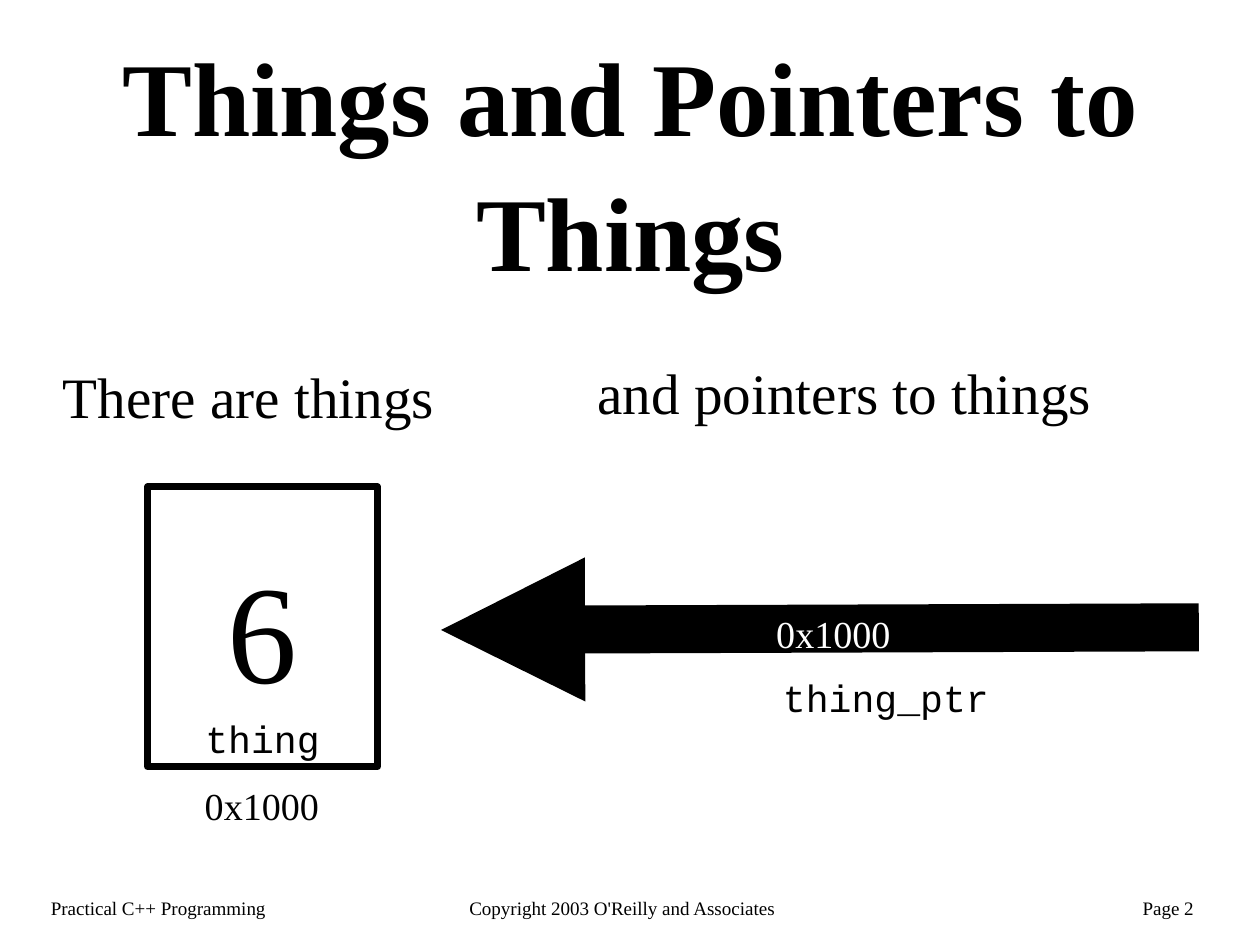
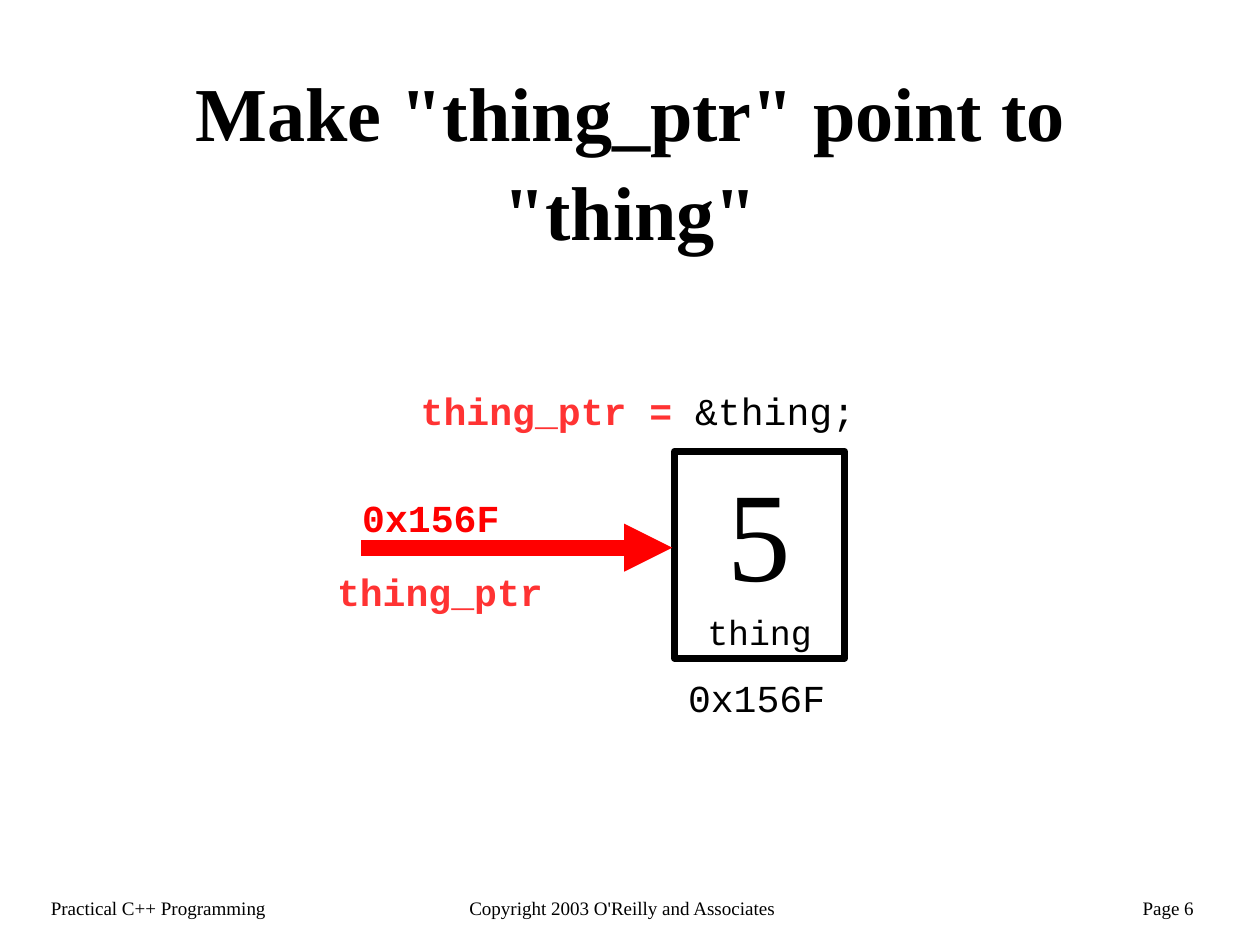
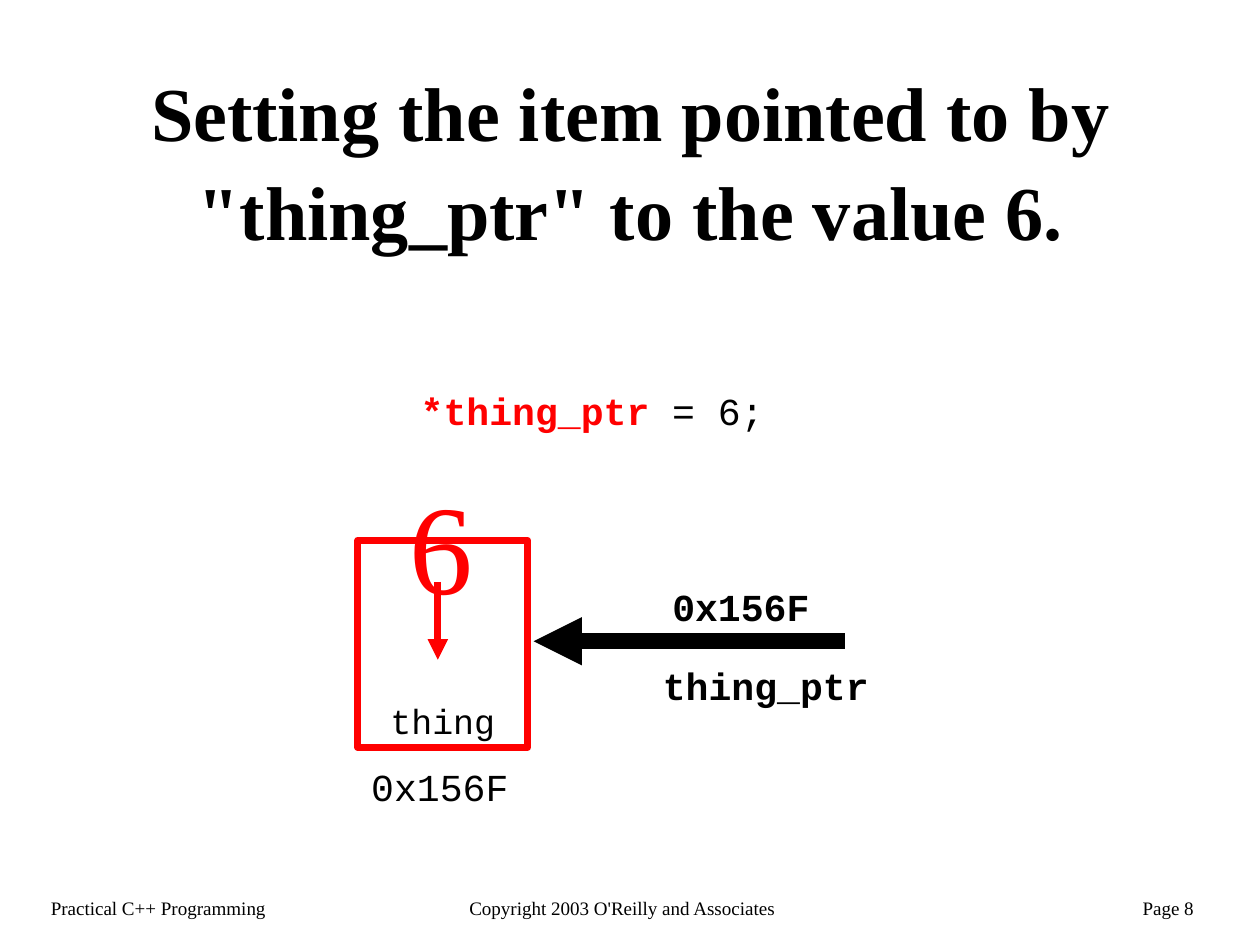
from lxml.etree import SubElement
from pptx import Presentation
from pptx.dml.color import RGBColor
from pptx.enum.shapes import MSO_CONNECTOR, MSO_SHAPE
from pptx.enum.text import MSO_ANCHOR, PP_ALIGN
from pptx.oxml.ns import qn
from pptx.util import Cm, Pt

SERIF, MONO = "Times New Roman", "Courier New"
BLACK, WHITE, RED, SOFT_RED = "000000", "FFFFFF", "FF0000", "FF3333"
LINE_SPACING = 1.08
OUTLINE = 4.31
BOX_SIZE = (3.78, 4.6)


def rgb(color):
    return RGBColor.from_string(color)


# Text
def add_run(paragraph, text, size, font=SERIF, color=BLACK, bold=False):
    paragraph.line_spacing = LINE_SPACING
    run = paragraph.add_run()
    run.text = text
    run.font.size, run.font.name, run.font.bold = Pt(size), font, bold
    run.font.color.rgb = rgb(color)


def clear_margins(frame):
    frame.word_wrap = True
    frame.margin_left = frame.margin_right = 0
    frame.margin_top = frame.margin_bottom = 0


def add_text(slide, left, top, runs, width=9, height=1):
    """Place one paragraph; each run is (text, size, font, color, bold)."""
    frame = slide.shapes.add_textbox(
        Cm(left), Cm(top), Cm(width), Cm(height)).text_frame
    clear_margins(frame)
    paragraph = frame.paragraphs[0]
    for run in runs:
        add_run(paragraph, *run)
    return frame


# Parts shared by all slides
def add_footer(slide, page):
    left, width = 1.13, 25.6
    frame = add_text(slide, left, 19.89, [], width, 0.6)
    paragraph = frame.paragraphs[0]
    tabs = SubElement(paragraph._p.get_or_add_pPr(), qn("a:tabLst"))
    for position, align in ((12.7, "ctr"), (25.4, "r")):
        SubElement(tabs, qn("a:tab"), pos=str(Cm(position)), algn=align)
    add_run(paragraph, "Practical C++ Programming\t"
            "Copyright 2003 O'Reilly and Associates\t"
            f"Page {page}", 12)


def new_slide(prs, title, page, title_size=48):
    slide = prs.slides.add_slide(prs.slide_layouts[6])
    add_footer(slide, page)
    frame = add_text(slide, 2.06, 0.81,
                     [(title, title_size, SERIF, BLACK, True)], 23.9, 5.36)
    frame.vertical_anchor = MSO_ANCHOR.MIDDLE
    frame.paragraphs[0].alignment = PP_ALIGN.CENTER
    return slide


# Memory diagram
def add_variable(slide, left, top, size, lines, address, address_dx,
                 address_font=MONO, color=BLACK):
    """Box holding a value above its name, with its address below."""
    width, height = size
    box = slide.shapes.add_shape(
        MSO_SHAPE.RECTANGLE, Cm(left), Cm(top), Cm(width), Cm(height))
    box.shadow.inherit = False
    box.fill.solid()
    box.fill.fore_color.rgb = rgb(WHITE)
    box.line.color.rgb = rgb(color)
    box.line.width = Pt(OUTLINE)
    SubElement(box.line._get_or_add_ln(), qn("a:round"))

    frame = box.text_frame
    clear_margins(frame)
    frame.margin_bottom = Cm(0.13)
    frame.vertical_anchor = MSO_ANCHOR.BOTTOM
    for index, line in enumerate(lines):
        paragraph = frame.add_paragraph() if index else frame.paragraphs[0]
        paragraph.alignment = PP_ALIGN.CENTER
        add_run(paragraph, *line)

    add_text(slide, left + address_dx, top + height + 0.27,
             [(address, 24, address_font)])


def add_arrow(slide, start, end, weight, color=BLACK):
    arrow = slide.shapes.add_connector(
        MSO_CONNECTOR.STRAIGHT, *(Cm(length) for length in (*start, *end)))
    arrow.line.color.rgb = rgb(color)
    arrow.line.width = Pt(weight)
    SubElement(arrow.line._get_or_add_ln(), qn("a:tailEnd"), type="triangle")
    SubElement(arrow._element.spPr, qn("a:effectLst"))


def add_pointer(slide, start, end, weight, color, labels):
    """Arrow with labels, each (dx, dy, run) from its left end."""
    add_arrow(slide, start, end, weight, color)
    left, y = min(start[0], end[0]), end[1]
    for dx, dy, run in labels:
        add_text(slide, left + dx, y + dy, [run])


# Slides
def things_slide(prs):
    slide = new_slide(prs, "Things and Pointers to Things", 2, 66)
    add_variable(slide, 3.28, 10.82, (5.11, 6.22),
                 [("6", 88), ("thing", 24, MONO)], "0x1000", 1.27, SERIF)
    add_text(slide, 1.4, 7.92, [("There are things", 36)], 11)
    add_text(slide, 13.28, 7.82, [("and pointers to things", 36)], 13.5)
    add_pointer(slide, (26.64, 13.94), (9.8, 14), 30.25, BLACK, [
        (7.6, 0.91, ("thing_ptr", 24, MONO)),
        (7.45, -0.51, ("0x1000", 24, SERIF, WHITE))])


def point_slide(prs):
    slide = new_slide(prs, 'Make "thing_ptr" point to "thing"', 6)
    add_variable(slide, 14.99, 10.03, BOX_SIZE,
                 [("5", 80), ("thing", 22, MONO)], "0x156F", 0.3)
    add_text(slide, 9.35, 8.53, [("thing_ptr = ", 24, MONO, SOFT_RED, True),
                                 ("&thing;", 24, MONO)], 12)
    add_pointer(slide, (8.03, 12.17), (14.94, 12.17), 10.09, RED, [
        (0.02, -1.27, ("0x156F", 24, MONO, RED, True)),
        (-0.54, 0.38, ("thing_ptr", 24, MONO, SOFT_RED, True))])


def assign_slide(prs):
    slide = new_slide(
        prs, 'Setting the item pointed to by "thing_ptr" to the value 6.', 8)
    add_text(slide, 9.35, 8.53, [("*thing_ptr ", 24, MONO, RED, True),
                                 ("= 6;", 24, MONO)], 12)
    add_variable(slide, 7.95, 12.01, BOX_SIZE,
                 [("thing", 22, MONO)], "0x156F", 0.3, color=RED)
    # New value dropping into the box
    add_text(slide, 9.09, 10.13, [("6", 80, SERIF, RED)], 2, 3.84)
    add_arrow(slide, (9.73, 12.93), (9.73, 14.66), OUTLINE, RED)
    add_pointer(slide, (18.77, 14.25), (11.86, 14.25), 10.09, BLACK, [
        (3.08, -1.37, ("0x156F", 24, MONO, BLACK, True)),
        (2.87, 0.38, ("thing_ptr", 24, MONO, BLACK, True))])


def main():
    prs = Presentation()
    prs.slide_width, prs.slide_height = Cm(28), Cm(21)
    things_slide(prs)
    point_slide(prs)
    assign_slide(prs)
    prs.save("out.pptx")


if __name__ == "__main__":
    main()
